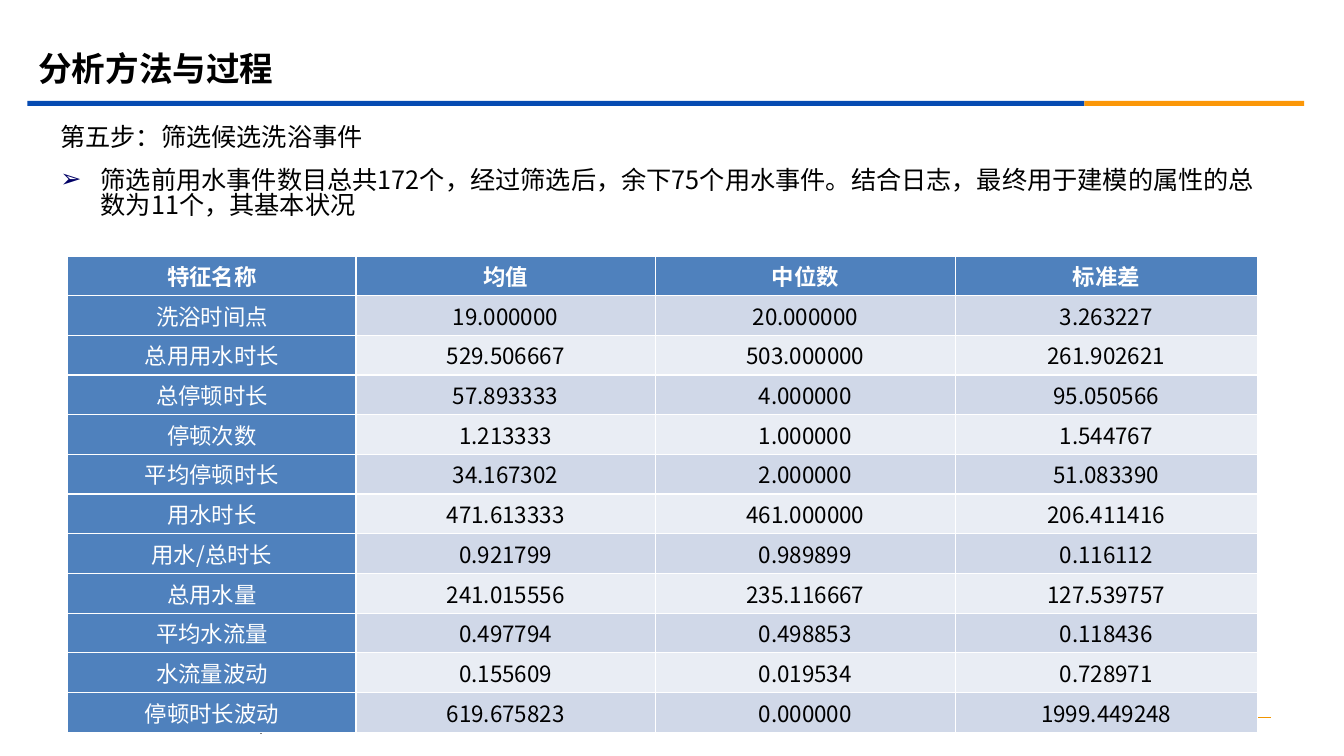
from lxml import etree
from pptx import Presentation
from pptx.dml.color import RGBColor
from pptx.enum.shapes import MSO_CONNECTOR, MSO_SHAPE
from pptx.enum.text import MSO_ANCHOR, PP_ALIGN
from pptx.oxml.ns import qn
from pptx.util import Cm, Pt

LINE, RECT = MSO_CONNECTOR.STRAIGHT, MSO_SHAPE.RECTANGLE
MID, TOP = MSO_ANCHOR.MIDDLE, MSO_ANCHOR.TOP
LEFT, MIDST = PP_ALIGN.LEFT, PP_ALIGN.CENTER

BLACK, WHITE = RGBColor(0, 0, 0), RGBColor(255, 255, 255)
BLUE, GOLD = RGBColor(0x06, 0x4B, 0xB2), RGBColor(0xFB, 0x97, 0x08)
AMBER, GRAY = RGBColor(0xF1, 0x95, 0x00), RGBColor(0x80, 0x80, 0x80)
HEAD = RGBColor(0x4F, 0x81, 0xBD)
BANDS = [RGBColor(0xE9, 0xED, 0xF4), RGBColor(0xD0, 0xD8, 0xE8)]
SANS, SERIF = "Noto Sans CJK SC", "Times New Roman"

TITLE = "分析方法与过程"
STEP = "第五步：筛选候选洗浴事件"
NOTE = "筛选前用水事件数目总共172个，经过筛选后，余下75个用水事件。结合日志，最终用于建模的属性的总数为11个，其基本状况"
ROWS = [
    ("特征名称", "均值", "中位数", "标准差"),
    ("洗浴时间点", "19.000000", "20.000000", "3.263227"),
    ("总用用水时长", "529.506667", "503.000000", "261.902621"),
    ("总停顿时长", "57.893333", "4.000000", "95.050566"),
    ("停顿次数", "1.213333", "1.000000", "1.544767"),
    ("平均停顿时长", "34.167302", "2.000000", "51.083390"),
    ("用水时长", "471.613333", "461.000000", "206.411416"),
    ("用水/总时长", "0.921799", "0.989899", "0.116112"),
    ("总用水量", "241.015556", "235.116667", "127.539757"),
    ("平均水流量", "0.497794", "0.498853", "0.118436"),
    ("水流量波动", "0.155609", "0.019534", "0.728971"),
    ("停顿时长波动", "619.675823", "0.000000", "1999.449248"),
]
COLS = [7.26, 7.54, 7.57, 7.6]
ROW = 1
BARS = [(0.69, 26.64, BLUE), (27.33, 5.54, GOLD)]
RULES = [(29.18, 18.08, 32.03, 18.08, AMBER, 0.75),
         (6.58, 17.73, 6.58, 18.49, GRAY, 1.25)]


def put(obj, **vals):
    for key, val in vals.items():
        setattr(obj, key, val)


def write(par, text, size, color, bold=False, font=SANS, align=LEFT):
    par.alignment = align
    run = par.add_run()
    run.text = text
    put(run.font, size=Pt(size), bold=bold, name=font)
    run.font.color.rgb = color
    east = etree.SubElement(run.font._element, qn("a:ea"))
    east.set("typeface", SANS)


def bullet(par, mark, color, indent):
    props = par._p.get_or_add_pPr()
    props.set("marL", str(indent))
    props.set("indent", str(-indent))
    tint = etree.SubElement(props, qn("a:buClr"))
    etree.SubElement(tint, qn("a:srgbClr")).set("val", color)
    etree.SubElement(props, qn("a:buFont")).set("typeface", "Arial")
    etree.SubElement(props, qn("a:buChar")).set("char", mark)


def main():
    deck = Presentation()
    put(deck, slide_width=Cm(33.87), slide_height=Cm(19.05))
    slide = deck.slides.add_slide(deck.slide_layouts[5])
    shapes = slide.shapes

    for x, width, color in BARS:
        bar = shapes.add_shape(RECT, Cm(x), Cm(2.54), Cm(width), Cm(0.13))
        bar.shadow.inherit = False
        bar.fill.solid()
        bar.fill.fore_color.rgb = color
        bar.line.fill.background()

    for x, y, far, low, color, width in RULES:
        rule = shapes.add_connector(LINE, Cm(x), Cm(y), Cm(far), Cm(low))
        rule.line.color.rgb = color
        rule.line.width = Pt(width)
        etree.SubElement(rule._element.spPr, qn("a:effectLst"))

    title = shapes.title
    put(title, left=Cm(0.71), top=Cm(0.99), width=Cm(30.48), height=Cm(1.47))
    put(title.text_frame, vertical_anchor=MID, word_wrap=True)
    write(title.text_frame.paragraphs[0], TITLE, 24, BLACK, True, SERIF)

    frame = shapes.add_table(len(ROWS), len(COLS), Cm(1.71), Cm(6.45),
                             Cm(sum(COLS)), Cm(ROW * len(ROWS)))
    table = frame.table
    for col, width in zip(table.columns, COLS):
        col.width = Cm(width)
    for r, row in enumerate(ROWS):
        table.rows[r].height = Cm(ROW)
        for c, text in enumerate(row):
            cell = table.cell(r, c)
            put(cell, vertical_anchor=MID, margin_left=Cm(0.05),
                margin_right=Cm(0.05), margin_top=0, margin_bottom=0)
            dark = r == 0 or c == 0
            cell.fill.solid()
            cell.fill.fore_color.rgb = HEAD if dark else BANDS[r % 2]
            write(cell.text_frame.paragraphs[0], text, 16,
                  WHITE if dark else BLACK, r == 0, align=MIDST)

    body = shapes.add_textbox(Cm(1.27), Cm(3.05), Cm(30.86), Cm(8.59)).text_frame
    put(body, word_wrap=True, vertical_anchor=TOP)
    step, note = body.paragraphs[0], body.add_paragraph()
    for par, text, gap in ((step, STEP, 10), (note, NOTE, 12)):
        put(par, space_before=Pt(gap), line_spacing=0.85)
        write(par, text, 18, BLACK)
    bullet(note, "➢", "000066", Cm(1.02))

    deck.save("out.pptx")


if __name__ == "__main__":
    main()
